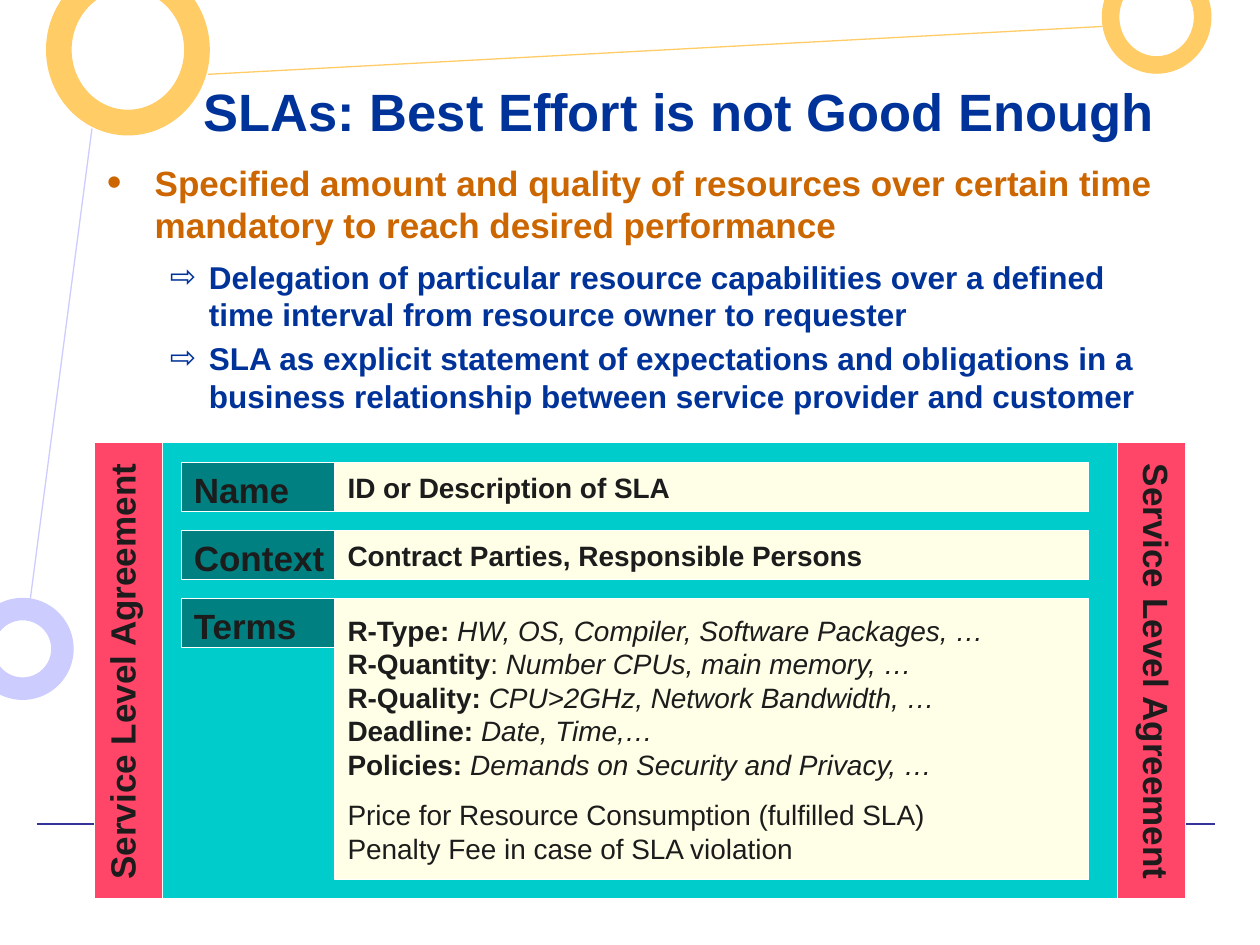
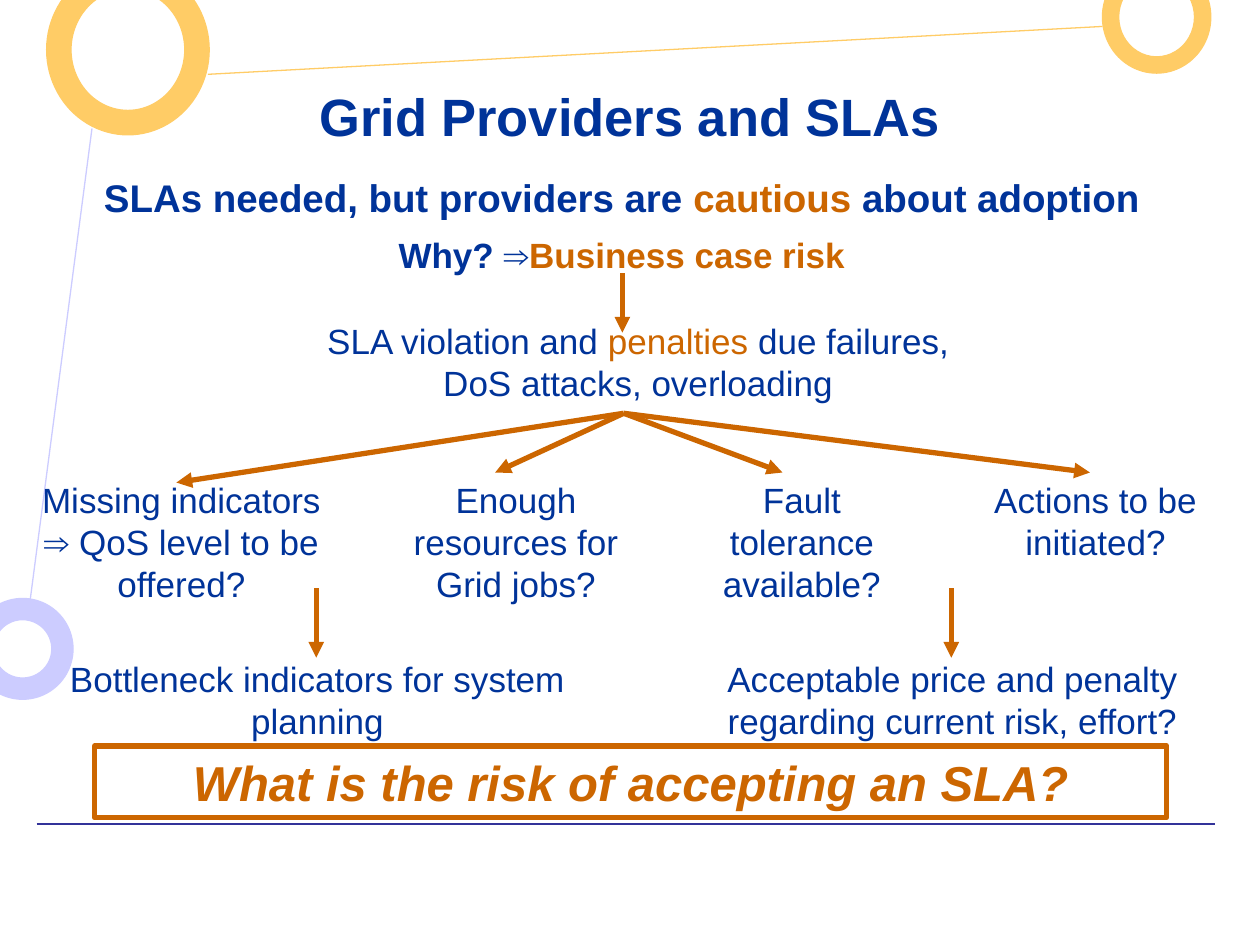
"""Build two slides on service level agreements for grid providers."""
from lxml.etree import SubElement
from pptx import Presentation
from pptx.dml.color import RGBColor
from pptx.enum.shapes import MSO_CONNECTOR as Link, MSO_SHAPE as Preset
from pptx.enum.text import MSO_ANCHOR as Anchor, PP_ALIGN as Align
from pptx.oxml.ns import qn
from pptx.util import Inches, Pt

NAVY = RGBColor(0x00, 0x33, 0x99)
ORANGE = RGBColor(0xCC, 0x66, 0x00)
GOLD = RGBColor(0xFF, 0xCC, 0x66)
LILAC = RGBColor(0xCC, 0xCC, 0xFF)
INDIGO = RGBColor(0x33, 0x33, 0x99)
INK = RGBColor(0x1C, 0x1C, 0x1C)
WHITE = RGBColor(0xFF, 0xFF, 0xFF)
PINK = RGBColor(0xFF, 0x45, 0x68)
CYAN = RGBColor(0x00, 0xCC, 0xCC)
TEAL = RGBColor(0x00, 0x80, 0x80)
CREAM = RGBColor(0xFF, 0xFF, 0xE7)


class Board:
    """Draws styled elements on the current slide, on a grid of 100 columns by 75 rows."""

    font = "Arial"
    columns, rows = 100, 75

    def __init__(self, deck):
        self.deck = deck
        self.page = None

    def x(self, column):
        return round(self.deck.slide_width * column / self.columns)

    def y(self, row):
        return round(self.deck.slide_height * row / self.rows)

    def area(self, left, top, width, height):
        return self.x(left), self.y(top), self.x(width), self.y(height)

    def new_page(self, title, title_area):
        self.page = self.deck.slides.add_slide(self.deck.slide_layouts[6])
        self.line((16.5, 5.9), (87.5, 2.1), GOLD)
        self.line((2.9, 65.4), (96.4, 65.4), INDIGO, 1.5)
        self.ring((-2.2, 47.5, 8, 8), LILAC, 0.21)
        self.ring((87.5, -3.1, 8.6, 8.9), GOLD, 0.15)
        self.ring((3.7, -2.8, 12.9, 13.5), GOLD, 0.15)
        self.line((7.3, 10.2), (2.4, 47.6), LILAC)
        box = self.text(title_area, anchor=Anchor.MIDDLE)
        self.para(box, [title], 30, bold=True, align=Align.CENTER)

    def line(self, start, end, color, width=0.75, arrow=False):
        link = self.page.shapes.add_connector(
            Link.STRAIGHT, self.x(start[0]), self.y(start[1]), self.x(end[0]), self.y(end[1]))
        link.line.color.rgb = color
        link.line.width = Pt(width)
        if arrow:
            SubElement(link.line._get_or_add_ln(), qn("a:tailEnd"), type="triangle")
        SubElement(link._element.spPr, qn("a:effectLst"))

    def arrow(self, start, end):
        self.line(start, end, ORANGE, 3, arrow=True)

    def shape(self, area, fill=None, outline=WHITE, width=0.75, preset=Preset.RECTANGLE):
        shape = self.page.shapes.add_shape(preset, *self.area(*area))
        shape.shadow.inherit = False
        if fill is None:
            shape.fill.background()
        else:
            shape.fill.solid()
            shape.fill.fore_color.rgb = fill
        shape.line.color.rgb = outline
        shape.line.width = Pt(width)
        return shape

    def ring(self, area, color, thickness):
        ring = self.shape(area, color, color, preset=Preset.DONUT)
        ring.adjustments[0] = thickness

    def panel(self, area, fill, anchor):
        panel = self.shape(area, fill)
        return self.frame(panel, anchor, wrap=False)

    def frame(self, shape, anchor=Anchor.TOP, side=0.1, wrap=True):
        frame = shape.text_frame
        frame.word_wrap = wrap
        frame.vertical_anchor = anchor
        frame.margin_left = frame.margin_right = Inches(side)
        return frame

    def text(self, area, anchor=Anchor.TOP, side=0.1, turn=0):
        box = self.page.shapes.add_textbox(*self.area(*area))
        box.rotation = turn
        return self.frame(box, anchor, side)

    def para(self, frame, runs, size, color=NAVY, bold=False, italic=False,
             align=Align.LEFT, before=0, after=0, bullet=None):
        """Add a paragraph; a run is a string or a pair of string and changed style."""
        first = frame.paragraphs[0]
        para = frame.add_paragraph() if first.runs else first
        para.alignment = align
        if bullet:
            self.bullet(para, color, **bullet)
        para.space_before = Pt(before)
        para.space_after = Pt(after)
        for run in runs:
            words, change = (run, {}) if isinstance(run, str) else run
            style = {"color": color, "bold": bold, "italic": italic} | change
            span = para.add_run()
            span.text = words
            span.font.name = self.font
            span.font.size = Pt(size)
            span.font.color.rgb = style["color"]
            span.font.bold = style["bold"]
            span.font.italic = style["italic"]

    def bullet(self, para, color, mark, indent, hang, percent=100):
        props = para._p.get_or_add_pPr()
        props.set("marL", str(Inches(indent)))
        props.set("indent", str(-Inches(hang)))
        SubElement(SubElement(props, qn("a:buClr")), qn("a:srgbClr"), val=str(color))
        SubElement(props, qn("a:buSzPct"), val=str(percent * 1000))
        SubElement(props, qn("a:buFont"), typeface=self.font)
        SubElement(props, qn("a:buChar"), char=mark)

    def note(self, area, runs, side=0):
        self.para(self.text(area, side=side), runs, 20, align=Align.CENTER)


def draw_agreement(board):
    """Draw the slide that shows the parts of an agreement."""
    board.new_page("SLAs: Best Effort is not Good Enough", (11.4, 2.1, 85, 13.3))
    body = board.text((7.5, 12.3, 85, 23.6))
    board.para(body, ["Specified amount and quality of resources over certain time "
                      "mandatory to reach desired performance"],
               20, ORANGE, bold=True, after=3.7,
               bullet=dict(mark="•", indent=0.38, hang=0.38, percent=120))
    for claim in (
            "Delegation of particular resource capabilities over a defined "
            "time interval from resource owner to requester",
            "SLA as explicit statement of expectations and obligations in a "
            "business relationship between service provider and customer"):
        board.para(body, [claim], 18, bold=True, before=3.4,
                   bullet=dict(mark="⇨", indent=0.81, hang=0.31))

    top, height = 35.1, 36.2
    board.shape((12.9, top, 75.9, height), CYAN)
    for band_left, text_left, turn in ((7.5, -8.4, 270), (88.7, 73.7, 90)):
        board.shape((band_left, top, 5.4, height), PINK)
        side_text = board.text((text_left, 51.1, height, 4.4), turn=turn)
        board.para(side_text, ["Service Level Agreement"], 20, INK, bold=True,
                   align=Align.CENTER)

    details = {}
    for index, (label, detail_height) in enumerate(
            (("Name", 3.9), ("Context", 3.9), ("Terms", 22.3))):
        row = 36.7 + 5.4 * index
        name = board.panel((14.4, row, 12.3, 3.9), TEAL, Anchor.TOP)
        board.para(name, [label], 20, INK, bold=True)
        details[label] = board.panel((26.6, row, 59.8, detail_height), CREAM, Anchor.MIDDLE)
    board.para(details["Name"], ["ID or Description of SLA"], 16, INK, bold=True)
    board.para(details["Context"], ["Contract Parties, Responsible Persons"], 16, INK, bold=True)

    bold, italic = {"bold": True}, {"italic": True}
    for term, colon, examples in (
            ("R-Type", bold, "HW, OS, Compiler, Software Packages, …"),
            ("R-Quantity", {}, "Number CPUs, main memory, …"),
            ("R-Quality", bold, "CPU>2GHz, Network Bandwidth, …"),
            ("Deadline", bold, "Date, Time,…"),
            ("Policies", bold, "Demands on Security and Privacy, …")):
        board.para(details["Terms"], [(term, bold), (": ", colon), (examples, italic)], 16, INK)
    board.para(details["Terms"], ["Price for Resource Consumption (fulfilled SLA)"],
               16, INK, before=9.5)
    board.para(details["Terms"], ["Penalty Fee in case of SLA violation"], 16, INK)


def draw_risk(board):
    """Draw the slide that leads from business risk to open questions."""
    board.new_page("Grid Providers and SLAs", (7.5, 2.5, 85, 13.3))
    accent = {"color": ORANGE}
    body = board.text((2.5, 13.3, 93.7, 12.3))
    board.para(body, ["SLAs needed, but providers are ", ("cautious", accent),
                      " about adoption"], 22, bold=True, align=Align.CENTER, after=4.1)
    board.para(body, ["Why? ⇒", ("Business case risk", accent)], 20, bold=True,
               align=Align.CENTER, before=3.7)
    board.note((23.5, 24.9, 54.3, 7.7),
               ["SLA violation and ", ("penalties", accent),
                " due failures, DoS attacks, overloading"])
    board.arrow((49.4, 21.7), (49.4, 26.4))

    for left, width, side, question, tip in (
            (2.2, 24.4, 0.1, "Missing indicators ⇒ QoS level to be offered?", (14, 38.3)),
            (29.2, 23.5, 0.1, "Enough resources for Grid jobs?", (39.3, 37.5)),
            (55, 17.3, 0, "Fault tolerance available?", (62.1, 37.5)),
            (75.5, 22.9, 0, "Actions to be initiated?", (86.5, 37.5))):
        board.note((left, 37.5, width, 11), [question], side)
        board.arrow((49.5, 32.8), tip)

    for left, outcome, column in (
            (5.5, "Bottleneck indicators for system planning", 25.1),
            (55.9, "Acceptable price and penalty regarding current risk, effort?", 75.5)):
        board.note((left, 51.7, 39.4, 7.7), [outcome])
        board.arrow((column, 46.7), (column, 52.2))

    frame = board.frame(board.shape((7.5, 59.2, 85.1, 5.7), outline=ORANGE, width=3))
    board.para(frame, ["What is the risk of accepting an SLA?"], 28, ORANGE,
               bold=True, italic=True, align=Align.CENTER)


def main():
    """Build and save the deck."""
    deck = Presentation()
    deck.slide_width, deck.slide_height = Inches(10), Inches(7.5)
    board = Board(deck)
    draw_agreement(board)
    draw_risk(board)
    deck.save("out.pptx")


if __name__ == "__main__":
    main()
